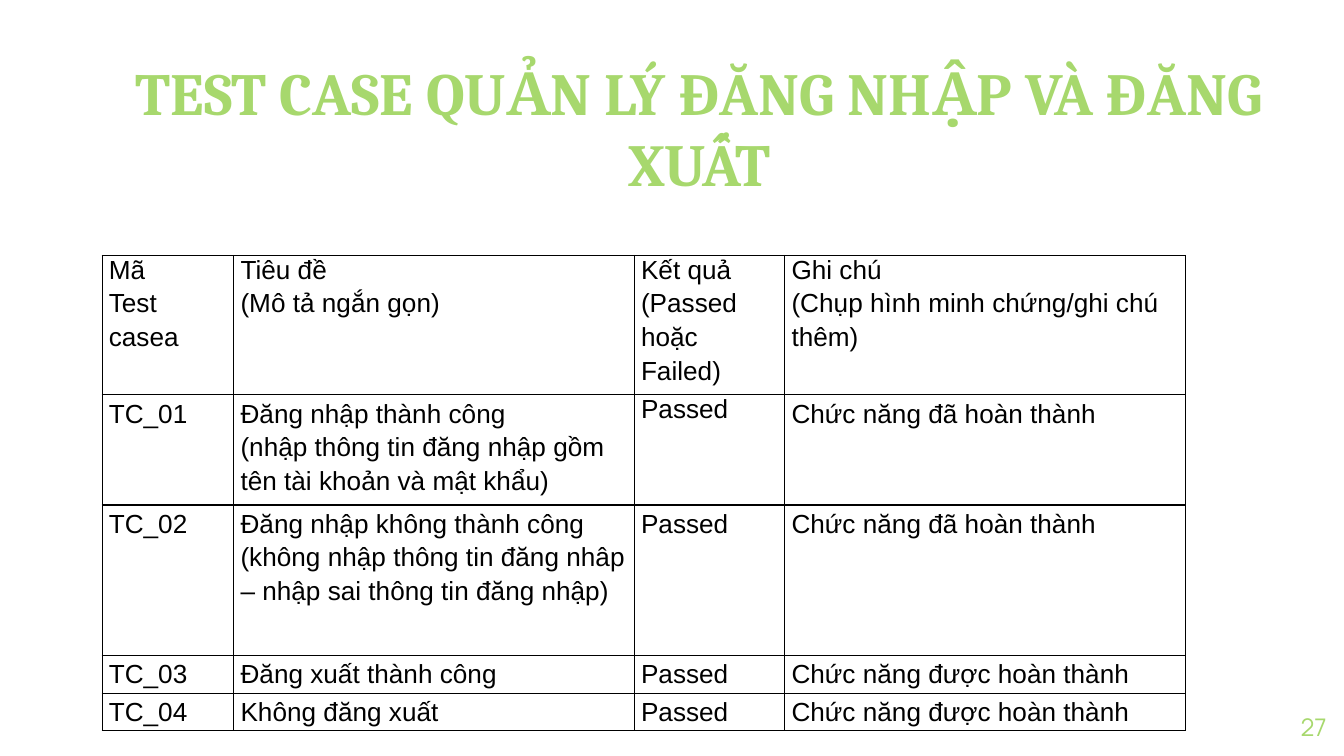
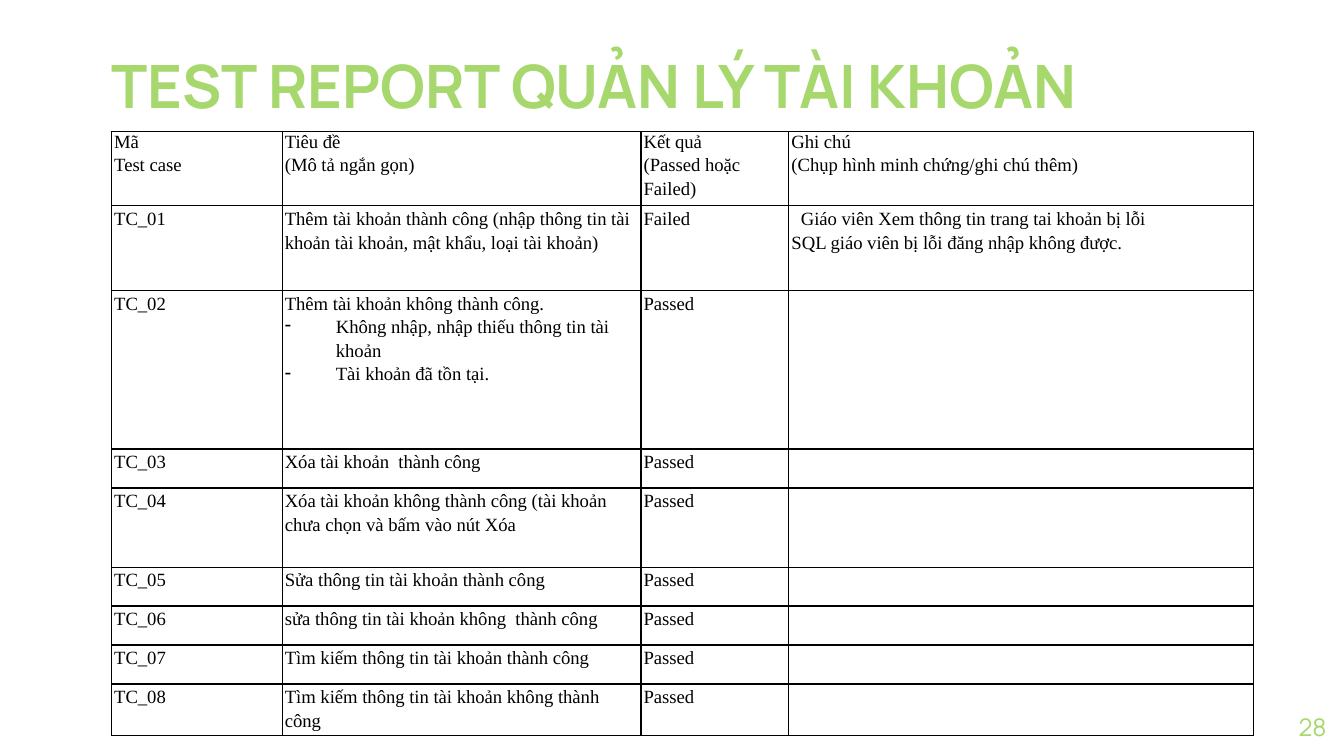
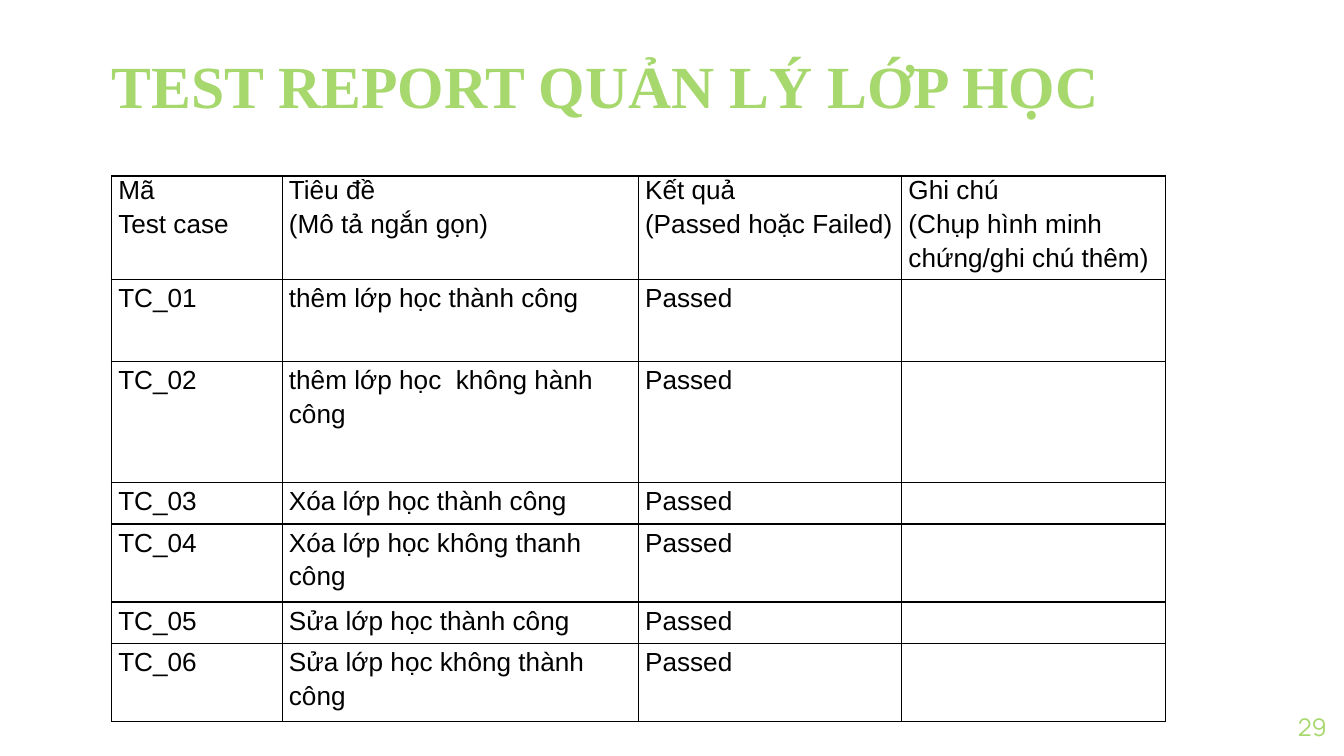
from dataclasses import dataclass

from lxml.etree import SubElement
from pptx import Presentation
from pptx.dml.color import RGBColor
from pptx.enum.text import MSO_ANCHOR, PP_ALIGN
from pptx.oxml.ns import qn
from pptx.util import Inches, Pt


@dataclass(frozen=True)
class Theme:
    accent: RGBColor = RGBColor(0xA7, 0xD8, 0x6D)
    ink: RGBColor = RGBColor(0, 0, 0)
    ink_hex: str = "000000"
    brand_font: str = "Manrope"
    title_size: int = 32
    number_size: int = 13
    border: float = 0.75
    line_spacing: float = 1.15
    bullet_indent: float = 0.38


@dataclass(frozen=True)
class TableStyle:
    font: str
    size: int
    margin: float


@dataclass(frozen=True)
class TestCase:
    title: str
    result: str = "Passed"
    note: str = ""


class Deck:
    def __init__(self, theme):
        self.theme = theme
        self.prs = Presentation()
        # Widescreen, 16:9
        self.prs.slide_width = Inches(10)
        self.prs.slide_height = Inches(10) * 9 // 16
        self.s = None

    def new_slide(self, number):
        self.s = self.prs.slides.add_slide(self.prs.slide_layouts[6])
        t = self.theme
        self.text(str(number), (9.27, 5.19, 0.6, 0.43), t.brand_font, t.number_size,
                  align=PP_ALIGN.RIGHT, anchor=MSO_ANCHOR.MIDDLE)

    def run(self, p, text, font, size, color, bold=False):
        r = p.add_run()
        r.text = text
        r.font.name, r.font.size, r.font.bold = font, Pt(size), bold
        r.font.color.rgb = color

    def text(self, text, box, font, size, align, anchor, bold=False):
        tf = self.s.shapes.add_textbox(*map(Inches, box)).text_frame
        tf.word_wrap = True
        tf.margin_left = tf.margin_right = tf.margin_top = tf.margin_bottom = 0
        tf.vertical_anchor = anchor
        p = tf.paragraphs[0]
        p.alignment = align
        self.run(p, text, font, size, self.theme.accent, bold)

    def title(self, text, font, top=0.31, height=0.59, align=PP_ALIGN.LEFT):
        self.text(text, (0.83, top, 8.75, height), font, self.theme.title_size,
                  align, MSO_ANCHOR.BOTTOM, bold=True)

    def table(self, rows, box, widths, heights, style):
        frame = self.s.shapes.add_table(len(heights), len(widths), *map(Inches, box))
        table = frame.table
        table.first_row = table.horz_banding = False
        for col, width in zip(table.columns, widths):
            col.width = Inches(width)
        for row, height in zip(table.rows, heights):
            row.height = Inches(height)
        # Row minimums add up to less than the full height
        frame.width, frame.height = map(Inches, box[2:])
        for i, row in enumerate(rows):
            for j, text in enumerate(row):
                self.cell(table.cell(i, j), text, style, header=i == 0)
        return table

    def cell(self, cell, text, style, header):
        cell.margin_left = cell.margin_right = Inches(style.margin)
        cell.margin_top = cell.margin_bottom = 0
        self.borders(cell)
        cell.fill.background()
        tf = cell.text_frame
        if not text:
            # An empty cell keeps the table's type size
            SubElement(tf.paragraphs[0]._p, qn("a:endParaRPr"), sz=str(style.size * 100))
            return
        for i, line in enumerate(text.split("\n")):
            p = tf.paragraphs[0] if i == 0 else tf.add_paragraph()
            if i > 0 or not header:
                p.line_spacing = self.theme.line_spacing
            if line.startswith("- "):
                self.bullet(p)
                line = line[2:]
            self.run(p, line, style.font, style.size, self.theme.ink)

    def borders(self, cell):
        tcPr = cell._tc.get_or_add_tcPr()
        for side in ("lnL", "lnR", "lnT", "lnB"):
            ln = SubElement(tcPr, qn(f"a:{side}"), w=str(Pt(self.theme.border)))
            fill = SubElement(ln, qn("a:solidFill"))
            SubElement(fill, qn("a:srgbClr"), val=self.theme.ink_hex)

    def bullet(self, p):
        pPr = p._p.get_or_add_pPr()
        indent = Inches(self.theme.bullet_indent)
        pPr.set("marL", str(indent))
        pPr.set("indent", str(-indent))
        color = SubElement(pPr, qn("a:buClr"))
        SubElement(color, qn("a:srgbClr"), val=self.theme.ink_hex)
        SubElement(pPr, qn("a:buChar"), char="-")


def report_rows(cases, code_label="Test case"):
    header = [f"Mã\n{code_label}", "Tiêu đề\n(Mô tả ngắn gọn)",
              "Kết quả\n(Passed hoặc Failed)",
              "Ghi chú\n(Chụp hình minh chứng/ghi chú thêm)"]
    return [header] + [[f"TC_{n:02}", case.title, case.result, case.note]
                       for n, case in enumerate(cases, 1)]


LARGE = TableStyle("Arial", 14, 0.05)
SMALL = TableStyle("Times New Roman", 10, 0.02)


def login_slide(deck):
    deck.new_slide(27)
    deck.title("TEST CASE QUẢN LÝ ĐĂNG NHẬP VÀ ĐĂNG XUẤT", "Cambria",
               top=0.56, height=0.92, align=PP_ALIGN.CENTER)
    done, completed = "Chức năng đã hoàn thành", "Chức năng được hoàn thành"
    cases = [
        TestCase("Đăng nhập thành công\n"
                 "(nhập thông tin đăng nhập gồm tên tài khoản và mật khẩu)", note=done),
        TestCase("Đăng nhập không thành công (không nhập thông tin đăng nhâp "
                 "– nhập sai thông tin đăng nhập)", note=done),
        TestCase("Đăng xuất thành công", note=completed),
        TestCase("Không đăng xuất", note=completed),
    ]
    table = deck.table(report_rows(cases, "Test casea"), (0.76, 1.9, 8.07, 3.52),
                       [0.98, 2.98, 1.12, 2.98], [0.67, 0.82, 1.12, 0.28, 0.28], LARGE)
    # The first result is set with single spacing
    table.cell(1, 2).text_frame.paragraphs[0].line_spacing = 1.0


def account_slide(deck):
    deck.new_slide(28)
    deck.title("TEST REPORT QUẢN LÝ TÀI KHOẢN", deck.theme.brand_font)
    cases = [
        TestCase("Thêm tài khoản thành công (nhập thông tin tài khoản tài khoản, "
                 "mật khẩu, loại tài khoản)", "Failed",
                 "Giáo viên Xem thông tin trang tai khoản bị lỗi\n"
                 "SQL giáo viên bị lỗi đăng nhập không được."),
        TestCase("Thêm tài khoản không thành công.\n"
                 "- Không nhập, nhập thiếu thông tin tài khoản\n"
                 "- Tài khoản đã tồn tại."),
        TestCase("Xóa tài khoản  thành công"),
        TestCase("Xóa tài khoản không thành công (tài khoản chưa chọn và bấm vào nút Xóa"),
        TestCase("Sửa thông tin tài khoản thành công"),
        TestCase("sửa thông tin tài khoản không  thành công"),
        TestCase("Tìm kiếm thông tin tài khoản thành công"),
        TestCase("Tìm kiếm thông tin tài khoản không thành công"),
    ]
    table = deck.table(report_rows(cases), (0.83, 0.98, 8.5, 4.47),
                       [1.27, 2.67, 1.1, 3.46],
                       [0.48, 0.63, 1.18, 0.29, 0.59] + [0.29] * 4, SMALL)
    # The failure note starts with a first-line indent
    note = table.cell(1, 3).text_frame.paragraphs[0]
    note._p.get_or_add_pPr().set("indent", str(Inches(0.07)))


def class_slide(deck):
    deck.new_slide(29)
    deck.title("TEST REPORT QUẢN LÝ LỚP HỌC", "Times New Roman")
    titles = ["thêm lớp học thành công", "thêm lớp học  không hành công",
              "Xóa lớp học thành công", "Xóa lớp học không thanh công",
              "Sửa lớp học thành công", "Sửa lớp học không thành công"]
    deck.table(report_rows(map(TestCase, titles)), (0.83, 1.31, 7.83, 4.04),
               [1.27, 2.65, 1.96, 1.96],
               [0.71, 0.61, 0.9, 0.31, 0.58, 0.31, 0.58], LARGE)


def main():
    deck = Deck(Theme())
    login_slide(deck)
    account_slide(deck)
    class_slide(deck)
    deck.prs.save("out.pptx")


if __name__ == "__main__":
    main()
